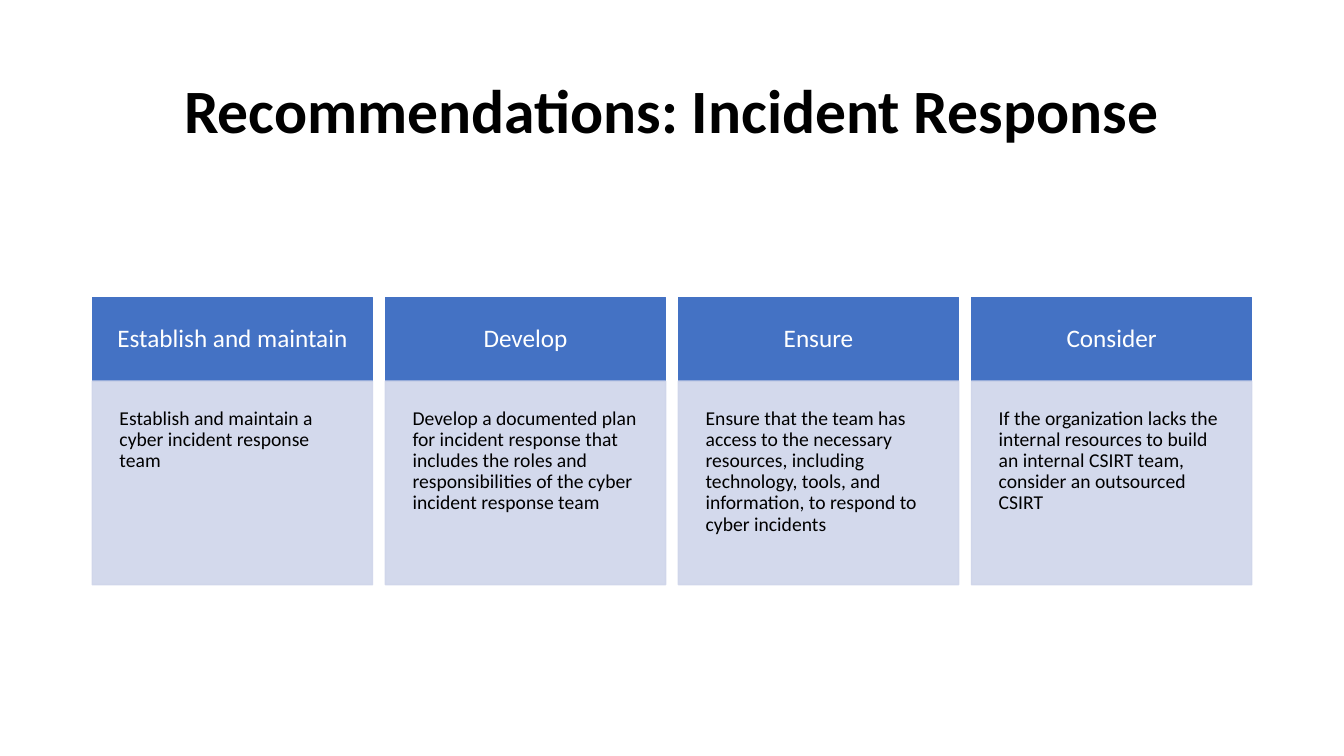
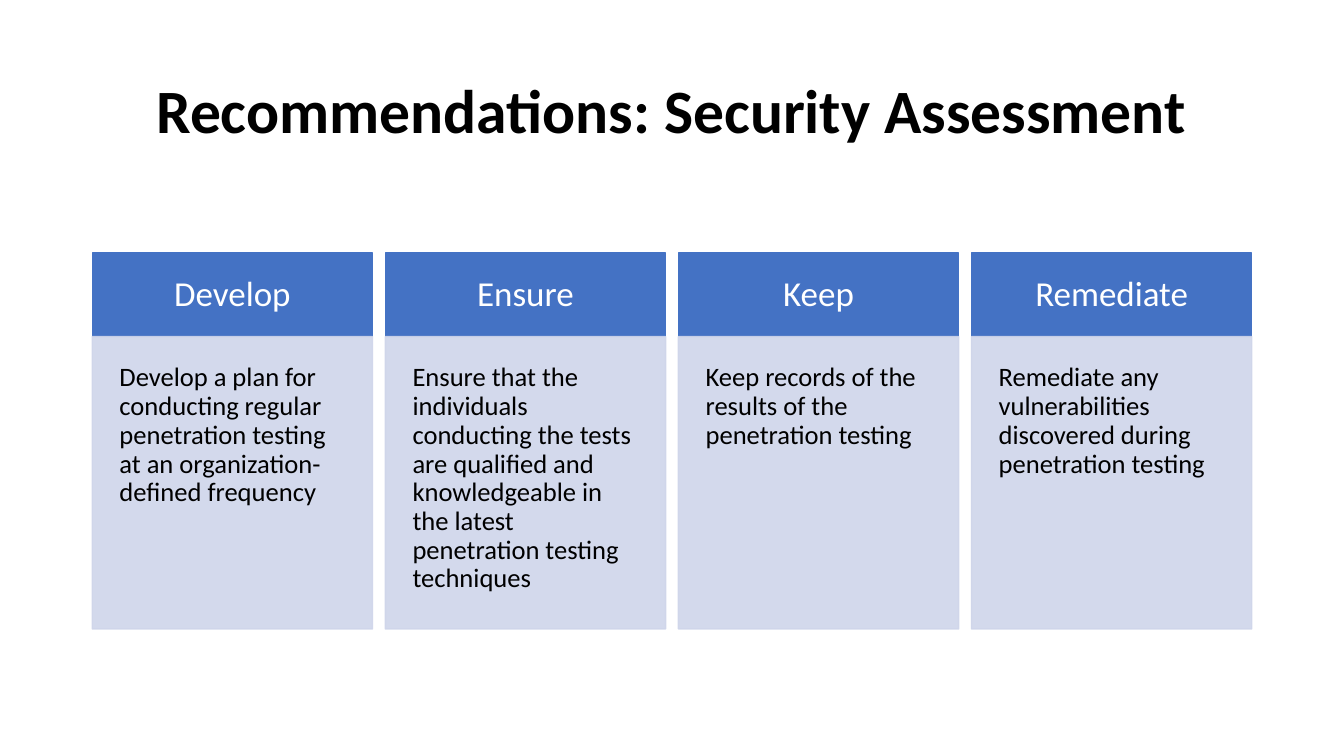
"""Build two slides of recommendations, each a row of four headed cards."""
import pptx
import pptx.util
import pptx.dml.color
import pptx.enum.shapes
import pptx.enum.text
import pptx.oxml.ns
import lxml.etree

Inches = pptx.util.Inches
Pt = pptx.util.Pt
Align = pptx.enum.text.PP_ALIGN
Anchor = pptx.enum.text.MSO_ANCHOR

BLUE = pptx.dml.color.RGBColor(0x44, 0x72, 0xC4)
PALE = pptx.dml.color.RGBColor(0xCF, 0xD5, 0xEA)
WHITE = pptx.dml.color.RGBColor(0xFF, 0xFF, 0xFF)
BLACK = pptx.dml.color.RGBColor(0x00, 0x00, 0x00)
FONT = "Calibri"

WIDE, HIGH = 13.33, 7.5
SPAN = 11.5
LEFT = (WIDE - SPAN) / 2
COLS = 4
CARD = 2.78
STEP = (SPAN - CARD) / (COLS - 1)
HEAD = 0.83
MID = HIGH * 7 / 12

DECK = [
    ("Recommendations: Incident Response", 18, 14, 2.02, [
        ("Establish and maintain",
         "Establish and maintain a cyber incident response team"),
        ("Develop",
         "Develop a documented plan for incident response that includes the roles "
         "and responsibilities of the cyber incident response team"),
        ("Ensure",
         "Ensure that the team has access to the necessary resources, including "
         "technology, tools, and information, to respond to cyber incidents"),
        ("Consider",
         "If the organization lacks the internal resources to build an internal "
         "CSIRT team, consider an outsourced CSIRT"),
    ]),
    ("Recommendations: Security Assessment", 25, 19, 2.9, [
        ("Develop",
         "Develop a plan for conducting regular penetration testing at an "
         "organization-defined frequency"),
        ("Ensure",
         "Ensure that the individuals conducting the tests are qualified and "
         "knowledgeable in the latest penetration testing techniques"),
        ("Keep", "Keep records of the results of the penetration testing"),
        ("Remediate",
         "Remediate any vulnerabilities discovered during penetration testing"),
    ]),
]


def style(frame, text, size, color, align, anchor):
    frame.text = text
    frame.word_wrap = True
    frame.vertical_anchor = anchor
    para = frame.paragraphs[0]
    para.alignment = align
    para.line_spacing = 0.9
    font = para.runs[0].font
    font.name, font.size, font.color.rgb = FONT, Pt(size), color
    return font


def panel(slide, box, fill, inset):
    shape = slide.shapes.add_shape(
        pptx.enum.shapes.MSO_SHAPE.RECTANGLE, *map(Inches, box))
    shape.shadow.inherit = False
    shape.fill.solid()
    shape.fill.fore_color.rgb = fill
    shape.line.color.rgb = fill
    shape.line.width = Pt(1)
    frame = shape.text_frame
    frame.margin_left = frame.margin_right = Inches(inset)
    frame.margin_top = frame.margin_bottom = Inches(inset)
    return shape


deck = pptx.Presentation()
deck.slide_width, deck.slide_height = Inches(WIDE), Inches(HIGH)
plain = deck.slide_layouts[5]

for name, big, small, depth, cards in DECK:
    slide = deck.slides.add_slide(plain)
    title = slide.shapes.title
    title.left, title.top = Inches(LEFT), Inches(0.4)
    title.width, title.height = Inches(SPAN), Inches(1.45)
    style(title.text_frame, name, 44, BLACK, Align.CENTER, Anchor.MIDDLE).bold = True

    top = MID - (HEAD + depth) / 2
    for col, (label, words) in enumerate(cards):
        left = LEFT + col * STEP
        head = panel(slide, (left, top, CARD, HEAD), BLUE, 0.22)
        style(head.text_frame, label, big, WHITE, Align.CENTER, Anchor.MIDDLE)
        body = panel(slide, (left, top + HEAD, CARD, depth), PALE, 0.27)
        style(body.text_frame, words, small, BLACK, Align.LEFT, Anchor.TOP)
        for tint in body.element.spPr.iter(pptx.oxml.ns.qn("a:srgbClr")):
            lxml.etree.SubElement(tint, pptx.oxml.ns.qn("a:alpha"), val="90000")

deck.save("out.pptx")
